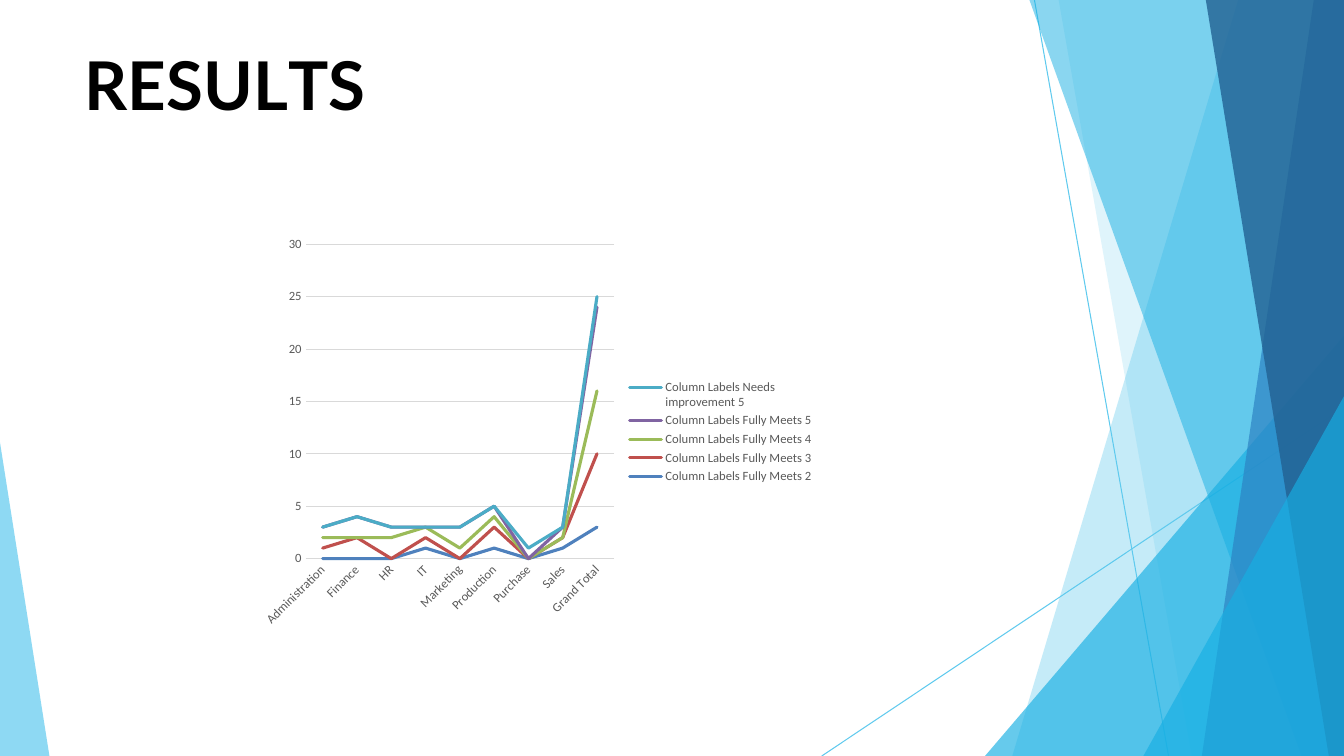
from dataclasses import dataclass

from lxml.etree import SubElement
from pptx import Presentation
from pptx.chart.data import CategoryChartData
from pptx.dml.color import RGBColor
from pptx.enum.chart import XL_CHART_TYPE as ChartType
from pptx.enum.chart import XL_LEGEND_POSITION as LegendPosition
from pptx.enum.chart import XL_TICK_MARK as TickMark
from pptx.enum.shapes import MSO_CONNECTOR as Connector
from pptx.enum.text import MSO_AUTO_SIZE as AutoSize
from pptx.oxml.ns import qn
from pptx.util import Inches, Pt


@dataclass(frozen=True)
class Theme:
    title_font: str = "Lato"
    chart_font: str = "Calibri"
    title_size: float = 48
    label_size: float = 9
    hairline: float = 0.75
    series_line: float = 2.25
    black: str = "000000"
    label: str = "595959"
    grid: str = "D9D9D9"
    sky: str = "5FCAEE"
    cyan: str = "17AFE3"
    blue: str = "2D83C3"
    navy: str = "226192"
    series: tuple = ("4F81BD", "C0504D", "9BBB59", "8064A2", "4BACC6")


THEME = Theme()
WIDTH, HEIGHT = 13.33, 7.5

DEPARTMENTS = ("Administration", "Finance", "HR", "IT", "Marketing",
               "Production", "Purchase", "Sales", "Grand Total")
RATINGS = {
    "Column Labels Fully Meets 2": (None, None, None, 1, None, 1, None, 1, 3),
    "Column Labels Fully Meets 3": (1, 2, None, 1, None, 2, None, 1, 7),
    "Column Labels Fully Meets 4": (1, None, 2, 1, 1, 1, None, None, 6),
    "Column Labels Fully Meets 5": (1, 2, 1, None, 2, 1, None, 1, 8),
    "Column Labels Needs improvement 5":
        (None, None, None, None, None, None, 1, None, 1),
}
# Letters of the title with their spacing in points
TITLE = (("R", 0), ("E", -0.4), ("S", 0.1), ("U", -0.3), ("L", -4), ("TS", 0))


def rgb(color):
    return RGBColor.from_string(color)


def style_font(font, *, name, size, color, bold=False):
    font.name, font.size, font.bold = name, Pt(size), bold
    font.color.rgb = rgb(color)


def style_line(line, color, width):
    line.color.rgb = rgb(color)
    line.width = Pt(width)


def add_text(slide, box, pieces, *, space_before=0, **font_format):
    """Add one line of text made of (text, letter spacing) pieces."""
    shape = slide.shapes.add_textbox(*map(Inches, box))
    frame = shape.text_frame
    frame.word_wrap = True
    frame.auto_size = AutoSize.SHAPE_TO_FIT_TEXT
    frame.margin_left = frame.margin_right = frame.margin_bottom = 0
    frame.margin_top = Inches(0.01)
    paragraph = frame.paragraphs[0]
    paragraph.space_before = Pt(space_before)
    for text, spacing in pieces:
        run = paragraph.add_run()
        run.text = text
        style_font(run.font, **font_format)
        run.font._element.set("spc", str(round(spacing * 100)))


def add_hairline(slide, start, end):
    line = slide.shapes.add_connector(
        Connector.STRAIGHT, *map(Inches, (*start, *end)))
    style_line(line.line, THEME.sky, THEME.hairline)
    SubElement(line._element.spPr, qn("a:effectLst"))


def add_facet(slide, points, color, opacity):
    """Add a see-through polygon; opacity is in percent."""
    corners = [(Inches(x), Inches(y)) for x, y in points]
    builder = slide.shapes.build_freeform(*corners[0])
    builder.add_line_segments(corners[1:], close=True)
    shape = builder.convert_to_shape()
    shape.shadow.inherit = False
    shape.fill.solid()
    shape.fill.fore_color.rgb = rgb(color)
    shape.line.fill.background()
    fill_color = shape._element.spPr.find(qn("a:solidFill"))[0]
    SubElement(fill_color, qn("a:alpha"), val=str(opacity * 1000))


def add_backdrop(slide, left, top, right, bottom):
    """Draw the facets along the right edge and the lower left wedge."""
    def band(upper, lower):
        return ((right, top), (left + upper, top),
                (left + lower, bottom), (right, bottom))

    def corner(edge_y, lower):
        return (right, top + edge_y), (left + lower, bottom), (right, bottom)

    add_hairline(slide, (left + 10.26, top), (left + 11.59, bottom))
    add_hairline(slide, (right, top + 4.04), (left + 8.15, bottom))
    wedge = (left, top + 4.39), (left, bottom), (left + 0.49, bottom)
    for points, color, opacity in (
            (band(12.28, 10.04), THEME.sky, 36),
            (band(10.5, 11.82), THEME.sky, 20),
            (corner(3.33, 9.77), THEME.cyan, 66),
            (band(10.21, 12.91), THEME.cyan, 50),
            (band(13.03, 11.92), THEME.blue, 70),
            (band(11.96, 13.18), THEME.navy, 80),
            (corner(3.93, 11.34), THEME.cyan, 66),
            (wedge, THEME.sky, 70)):
        add_facet(slide, points, color, opacity)


def add_ratings_chart(slide, box):
    data = CategoryChartData()
    data.categories = DEPARTMENTS
    for name, values in RATINGS.items():
        data.add_series(name, values)
    chart = slide.shapes.add_chart(
        ChartType.LINE_STACKED, *map(Inches, box), data).chart
    chart.has_title = False
    label_format = dict(name=THEME.chart_font, size=THEME.label_size,
                        color=THEME.label)
    style_font(chart.font, **label_format)
    chart.has_legend = True
    chart.legend.position = LegendPosition.RIGHT
    chart.legend.include_in_layout = False
    style_font(chart.legend.font, **label_format)

    for axis in (chart.category_axis, chart.value_axis):
        axis.major_tick_mark = axis.minor_tick_mark = TickMark.NONE
        style_font(axis.tick_labels.font, **label_format)
    style_line(chart.category_axis.format.line, THEME.grid, THEME.hairline)
    chart.value_axis.format.line.fill.background()
    chart.value_axis.has_major_gridlines = True
    style_line(chart.value_axis.major_gridlines.format.line,
               THEME.grid, THEME.hairline)

    plot = chart.plots[0]
    plot.vary_by_categories = False
    for series, color in zip(plot.series, THEME.series):
        series.smooth = False
        style_line(series.format.line, color, THEME.series_line)
        series.format.line._get_or_add_ln().set("cap", "rnd")
    # Empty values count as zero
    chart._chartSpace.chart.find(qn("c:dispBlanksAs")).set("val", "zero")


def build_results_slide(presentation):
    slide = presentation.slides.add_slide(presentation.slide_layouts[6])
    add_backdrop(slide, 0, 0, WIDTH, HEIGHT)
    add_ratings_chart(slide, (2.5, 2.27, 5.67, 4.03))
    add_text(slide, (0.84, 0.42, 3.58, 0.81), TITLE, space_before=1.1,
             name=THEME.title_font, size=THEME.title_size,
             color=THEME.black, bold=True)


def main():
    presentation = Presentation()
    presentation.slide_width = Inches(WIDTH)
    presentation.slide_height = Inches(HEIGHT)
    build_results_slide(presentation)
    presentation.save("out.pptx")


if __name__ == "__main__":
    main()
